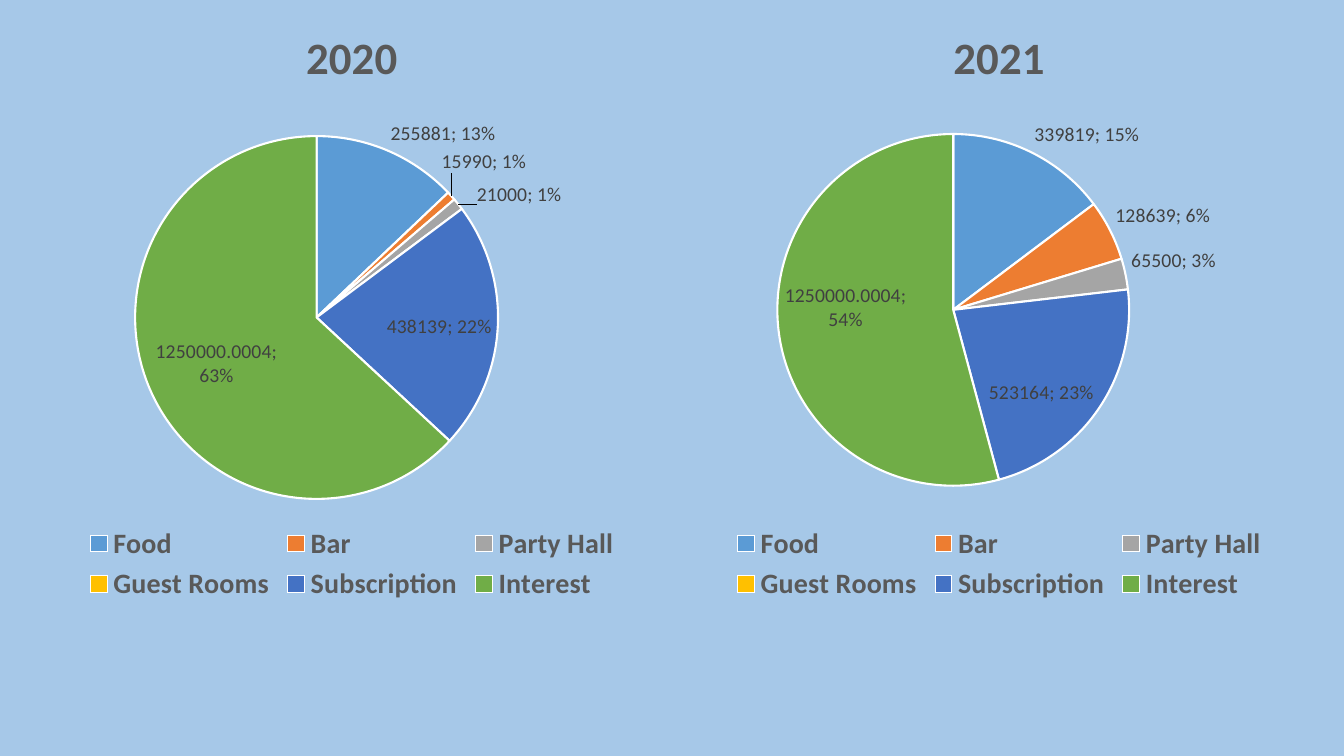
from dataclasses import dataclass

from lxml.etree import SubElement
from pptx import Presentation
from pptx.chart.data import CategoryChartData
from pptx.dml.color import RGBColor
from pptx.enum.chart import XL_CHART_TYPE, XL_LABEL_POSITION, XL_LEGEND_POSITION
from pptx.oxml import parse_xml
from pptx.oxml.ns import nsdecls, qn
from pptx.util import Inches, Pt


@dataclass(frozen=True)
class Theme:
    font: str = "Calibri"
    background: str = "A6C8E8"
    heading: str = "595959"
    label: str = "404040"
    outline: str = "FFFFFF"
    slices: tuple = ("5B9BD5", "ED7D31", "A5A5A5", "FFC000", "4472C4", "70AD47")
    title_size: int = 32
    legend_size: int = 20
    label_size: int = 14


THEME = Theme()
SOURCES = ("Food", "Bar", "Party Hall", "Guest Rooms", "Subscription", "Interest")
INSIDE_SHARE = 0.2  # slices at least this large hold their own label


def style_font(font, size, color, bold=False):
    font.name = THEME.font
    font.size = Pt(size)
    font.bold = bold
    font.color.rgb = RGBColor.from_string(color)


def manual_layout(**settings):
    entries = "".join(f'<c:{key} val="{value}"/>' for key, value in settings.items())
    return parse_xml(
        f'<c:layout {nsdecls("c")}><c:manualLayout>{entries}</c:manualLayout></c:layout>')


def place_pie(chart, box, pie):
    """Fix the pie's square (left, top, side in inches) inside the chart box."""
    left, top, side = pie
    width, height = box[2:]
    plot_area = chart._chartSpace.chart.plotArea
    for layout in plot_area.findall(qn("c:layout")):
        plot_area.remove(layout)
    plot_area.insert(0, manual_layout(
        layoutTarget="inner", xMode="edge", yMode="edge",
        x=round(left / width, 4), y=round(top / height, 4),
        w=round(side / width, 4), h=round(side / height, 4)))


def label_slices(series, incomes, nudges):
    """Show value and share on each slice that has income."""
    labels = series.data_labels
    labels.show_value = labels.show_percentage = True
    labels.number_format, labels.number_format_is_linked = "General", False
    style_font(labels.font, THEME.label_size, THEME.label)
    for index, income in enumerate(incomes):
        label = series.points[index].data_label
        inside = income / sum(incomes) >= INSIDE_SHARE
        label.position = (XL_LABEL_POSITION.INSIDE_END if inside
                          else XL_LABEL_POSITION.OUTSIDE_END)
        style_font(label.font, THEME.label_size, THEME.label)

    for entry, income, source in zip(
            labels._element.findall(qn("c:dLbl")), incomes, SOURCES):
        if not income:
            for child in list(entry)[1:]:
                entry.remove(child)
            SubElement(entry, qn("c:delete")).set("val", "1")
            continue
        entry.find(qn("c:showPercent")).set("val", "1")
        SubElement(entry, qn("c:separator")).text = "; "
        if source in nudges:
            x, y = nudges[source]
            entry.insert(1, manual_layout(x=x, y=y))


def add_income_pie(slide, box, year, incomes, pie, nudges):
    data = CategoryChartData()
    data.categories = SOURCES
    data.add_series(year, incomes)
    chart = slide.shapes.add_chart(
        XL_CHART_TYPE.PIE, *(Inches(length) for length in box), data).chart
    style_font(chart.font, 10, "000000")

    chart.has_title = True
    title = chart.chart_title
    title.include_in_layout = False
    title.text_frame.text = year
    style_font(title.text_frame.paragraphs[0].runs[0].font,
               THEME.title_size, THEME.heading, bold=True)

    chart.has_legend = True
    chart.legend.position = XL_LEGEND_POSITION.BOTTOM
    chart.legend.include_in_layout = False
    style_font(chart.legend.font, THEME.legend_size, THEME.heading, bold=True)

    plot = chart.plots[0]
    plot.vary_by_categories = True
    series = plot.series[0]
    for index, color in enumerate(THEME.slices):
        slice_format = series.points[index].format
        slice_format.fill.solid()
        slice_format.fill.fore_color.rgb = RGBColor.from_string(color)
        slice_format.line.color.rgb = RGBColor.from_string(THEME.outline)
        slice_format.line.width = Pt(1.5)
    label_slices(series, incomes, nudges)
    place_pie(chart, box, pie)


def main():
    presentation = Presentation()
    presentation.slide_width = Inches(13.33)
    presentation.slide_height = Inches(7.5)
    slide = presentation.slides.add_slide(presentation.slide_layouts[6])
    slide.background.fill.solid()
    slide.background.fill.fore_color.rgb = RGBColor.from_string(THEME.background)

    add_income_pie(
        slide, (0, 0, 6.98, 6.02), "2020",
        (255881, 15990, 21000, 0, 438139, 1250000.0004),
        pie=(1.34, 1.35, 3.6),
        nudges={"Bar": (-0.02, -0.03), "Party Hall": (0.02, 0.01)})
    add_income_pie(
        slide, (6.48, 0, 6.86, 6.02), "2021",
        (339819, 128639, 65500, 0, 523164, 1250000.0004),
        pie=(1.23, 1.33, 3.49), nudges={})
    presentation.save("out.pptx")


if __name__ == "__main__":
    main()
